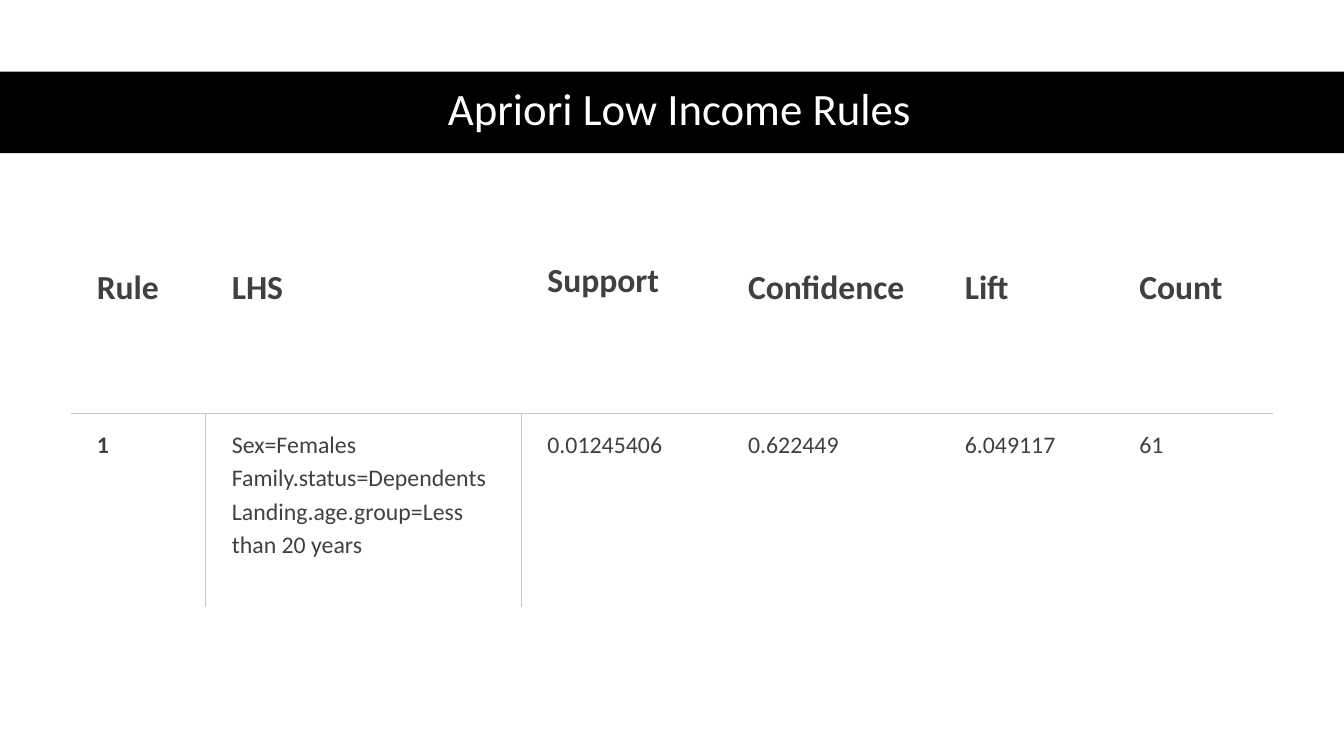
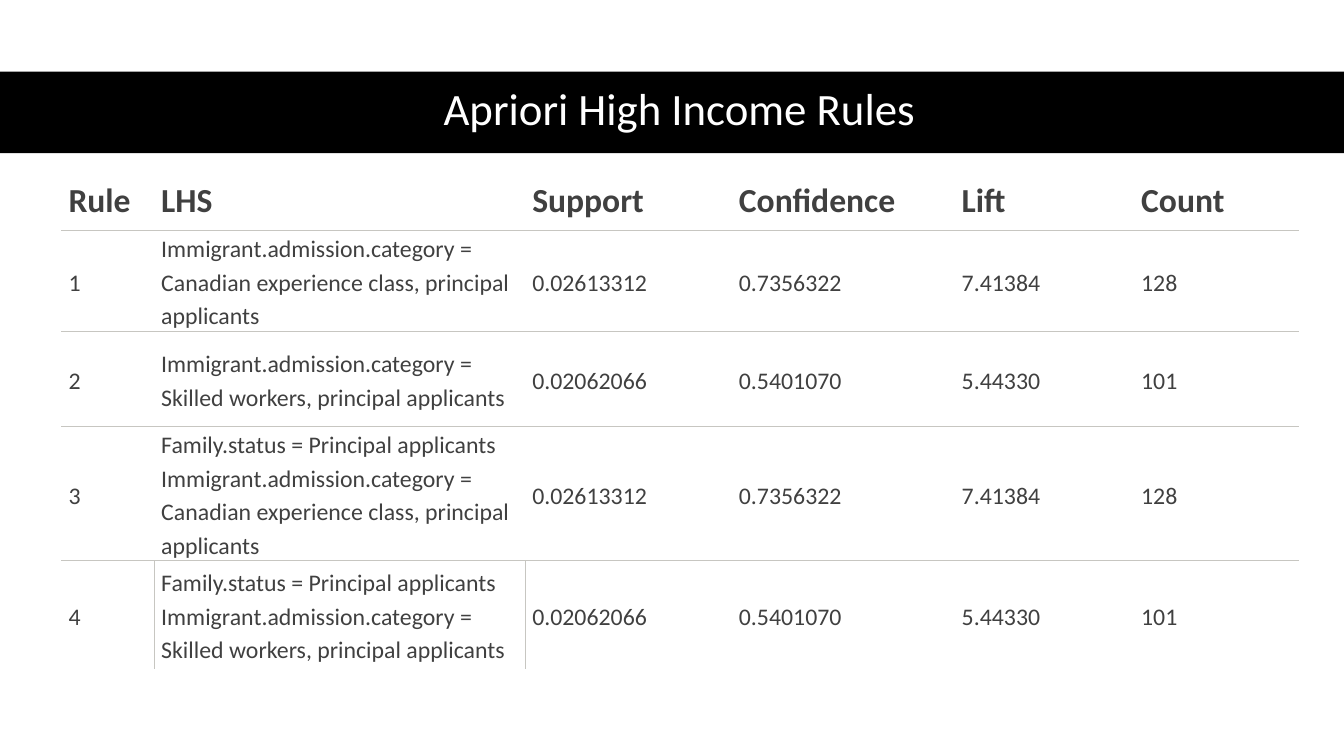
"""Build two slides of Apriori association rules for low and high income."""
from dataclasses import dataclass

from lxml.etree import SubElement
from pptx import Presentation
from pptx.dml.color import RGBColor
from pptx.enum.shapes import MSO_SHAPE
from pptx.enum.text import MSO_ANCHOR, MSO_AUTO_SIZE, PP_ALIGN
from pptx.oxml.ns import qn
from pptx.util import Inches, Pt


@dataclass(frozen=True)
class Theme:
    font: str = "Calibri"
    band: str = "000000"
    title: str = "FFFFFF"
    text: str = "404040"
    rule: str = "C7C6C1"
    title_size: int = 32
    header_size: int = 24
    body_size: int = 17
    rule_width: float = 0.75
    line_spacing: float = 1.15
    plain_table: str = "{2D5ABB26-0587-4C30-8999-92F81FD0307C}"


class RuleDeck:
    def __init__(self, theme):
        self.theme = theme
        self.deck = Presentation()
        self.deck.slide_width = Inches(13.33)
        self.deck.slide_height = Inches(7.5)
        self.page = None

    def style(self, para, size, color, spacing, bold=False):
        para.font.name = self.theme.font
        para.font.size = Pt(size)
        para.font.bold = bold
        para.font.color.rgb = RGBColor.from_string(color)
        para.line_spacing = spacing

    def add_page(self, heading):
        self.page = self.deck.slides.add_slide(self.deck.slide_layouts[5])
        title = self.page.shapes.title
        self.add_band(title)
        title.left, title.top = Inches(0.61), Inches(0.7)
        title.width, title.height = Inches(12.26), Inches(0.81)
        frame = title.text_frame
        frame.text = heading
        frame.auto_size = MSO_AUTO_SIZE.NONE
        frame.vertical_anchor = MSO_ANCHOR.MIDDLE
        para = frame.paragraphs[0]
        para.alignment = PP_ALIGN.CENTER
        self.style(para, self.theme.title_size, self.theme.title, 0.9)

    def add_band(self, title):
        band = self.page.shapes.add_shape(
            MSO_SHAPE.RECTANGLE, 0, Inches(0.71), self.deck.slide_width, Inches(0.81))
        band.shadow.inherit = False
        band.fill.solid()
        band.fill.fore_color.rgb = RGBColor.from_string(self.theme.band)
        band.line.fill.background()
        title.element.addprevious(band.element)

    def add_border(self, cell, side):
        properties = cell._tc.get_or_add_tcPr()
        line = SubElement(properties, qn(f"a:ln{side}"), w=str(Pt(self.theme.rule_width)))
        fill = SubElement(line, qn("a:solidFill"))
        SubElement(fill, qn("a:srgbClr"), val=self.theme.rule)

    def add_table(self, left, top, widths, heights, rows, insets, anchor,
                  bold_numbers=False, tight_headers=()):
        shape = self.page.shapes.add_table(
            len(rows), len(widths), Inches(left), Inches(top),
            Inches(sum(widths)), Inches(sum(heights)))
        shape.element.find(".//" + qn("a:tableStyleId")).text = self.theme.plain_table
        table = shape.table
        table.first_row = table.horz_banding = False
        for column, width in zip(table.columns, widths):
            column.width = Inches(width)
        for row, height in zip(table.rows, heights):
            row.height = Inches(height)
        last = len(rows) - 1
        for row_index, values in enumerate(rows):
            header = row_index == 0
            size = self.theme.header_size if header else self.theme.body_size
            for column_index, value in enumerate(values):
                cell = table.cell(row_index, column_index)
                cell.text = value
                (cell.margin_left, cell.margin_top,
                 cell.margin_right, cell.margin_bottom) = map(Inches, insets)
                cell.vertical_anchor = anchor
                bold = header or (bold_numbers and column_index == 0)
                spacing = 1.0 if header and value in tight_headers else self.theme.line_spacing
                for para in cell.text_frame.paragraphs:
                    self.style(para, size, self.theme.text, spacing, bold)
                borders = {
                    "L": row_index == last and column_index == 1,
                    "R": row_index == last and column_index == 0,
                    "T": not header,
                    "B": row_index < last,
                }
                for side, shown in borders.items():
                    if shown:
                        self.add_border(cell, side)
                cell.fill.background()

    def save(self):
        self.deck.save("out.pptx")


HEADERS = ("Rule", "LHS", "Support", "Confidence", "Lift", "Count")
PRINCIPAL = "Family.status = Principal applicants\n"
EXPERIENCE = ("Immigrant.admission.category = "
              "Canadian experience class, principal applicants")
SKILLED = "Immigrant.admission.category = Skilled workers, principal applicants"
EXPERIENCE_VALUES = ("0.02613312", "0.7356322", "7.41384", "128")
SKILLED_VALUES = ("0.02062066", "0.5401070", "5.44330", "101")

rules = RuleDeck(Theme())

rules.add_page("Apriori Low Income Rules")
rules.add_table(
    0.7, 2.46, (1.34, 3.13, 1.99, 2.15, 1.73, 1.59), (1.64, 1.92),
    (HEADERS,
     ("1",
      "Sex=Females\nFamily.status=Dependents\nLanding.age.group=Less than 20 years",
      "0.01245406", "0.622449", "6.049117", "61")),
    (0.26, 0.13, 0.2, 0.13), MSO_ANCHOR.TOP,
    bold_numbers=True, tight_headers=("Support",))

rules.add_page("Apriori High Income Rules")
rules.add_table(
    0.61, 1.63, (0.92, 3.68, 2.05, 2.21, 1.78, 1.63), (0.66, 0.91, 0.95, 1.12, 1.08),
    (HEADERS,
     ("1", EXPERIENCE, *EXPERIENCE_VALUES),
     ("2", SKILLED, *SKILLED_VALUES),
     ("3", PRINCIPAL + EXPERIENCE, *EXPERIENCE_VALUES),
     ("4", PRINCIPAL + SKILLED, *SKILLED_VALUES)),
    (0.07, 0, 0.07, 0), MSO_ANCHOR.MIDDLE)

rules.save()
